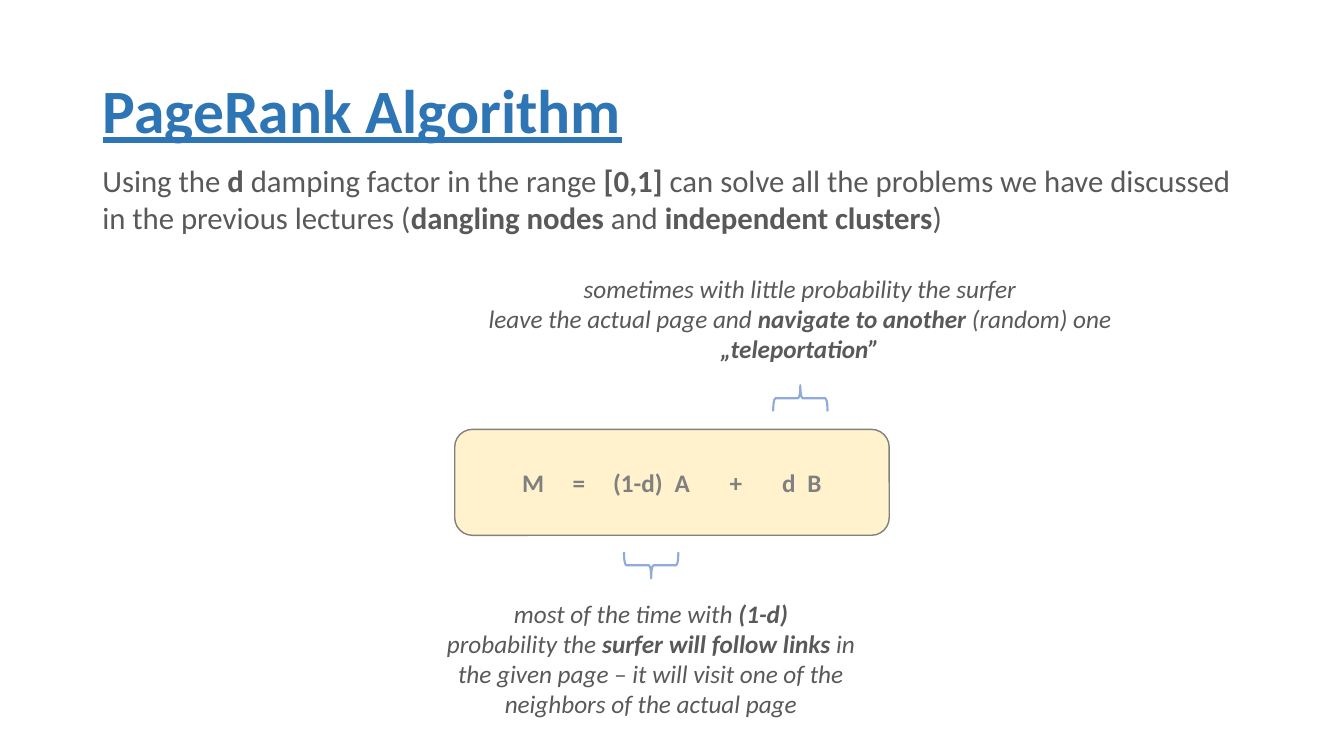
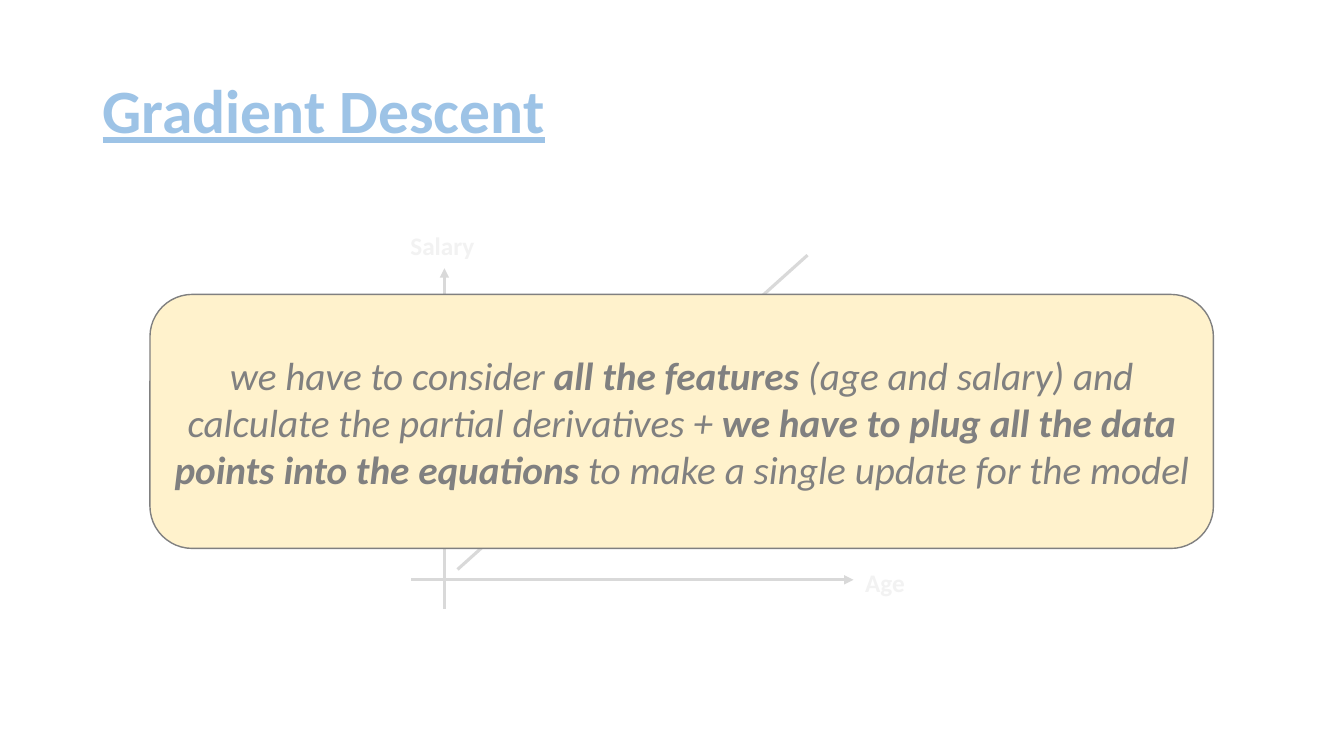
from dataclasses import dataclass

from lxml.etree import SubElement
from pptx import Presentation
from pptx.dml.color import RGBColor
from pptx.enum.shapes import MSO_CONNECTOR, MSO_SHAPE
from pptx.enum.text import MSO_ANCHOR as Anchor, MSO_AUTO_SIZE as AutoSize, PP_ALIGN as Align
from pptx.oxml.ns import qn
from pptx.util import Cm, Pt

FONT = "Calibri"
BLUE, PALE_BLUE, BRACE_BLUE = "2E75B6", "9DC3E6", "8FAADC"
DARK_GREY, GREY, LINE_GREY, LABEL_GREY = "595959", "808080", "D9D9D9", "F2F2F2"
CREAM = "FFF2CC"


@dataclass(frozen=True)
class Area:
    """A rectangle in centimetres."""
    left: float
    top: float
    width: float
    height: float

    def lengths(self):
        return Cm(self.left), Cm(self.top), Cm(self.width), Cm(self.height)


@dataclass(frozen=True)
class Style:
    size: float
    color: str
    bold: bool = False
    italic: bool = False
    align: Align = Align.CENTER


@dataclass(frozen=True)
class Note:
    area: Area
    lines: tuple
    style: Style
    wrap: bool = False


@dataclass(frozen=True)
class Brace:
    area: Area
    rotation: int


@dataclass(frozen=True)
class Line:
    start: tuple
    end: tuple
    arrow: bool = False


TITLE_AREA = Area(2.33, 1.02, 29.21, 3.68)
INTRO = Style(22, DARK_GREY, align=Align.LEFT)
REMARK = Style(18, DARK_GREY, italic=True)
EQUATION = Style(18, GREY, bold=True, align=Align.LEFT)
MESSAGE = Style(28, GREY, italic=True)
AXIS_LABEL = Style(18, LABEL_GREY, bold=True)

PAGERANK_NOTES = (
    Note(Area(2.33, 3.96, 29.21, 2.13), (
        "Using the **d** damping factor in the range **[0,1]** can solve all the problems we have discussed",
        "in the previous lectures (**dangling nodes** and **independent clusters**)",
    ), INTRO),
    Note(Area(10.31, 14.94, 12.19, 3.33), (
        "most of the time with **(1-d)**",
        "probability the **surfer will follow links** in",
        "the given page – it will visit one of the neighbors of the actual page",
    ), REMARK, wrap=True),
    Note(Area(11.89, 6.76, 16.54, 2.57), (
        "sometimes with little probability the surfer",
        "leave the actual page and **navigate to another** (random) one",
        "**„teleportation”**",
    ), REMARK),
)
BRACES = (
    Brace(Area(16.08, 13.56, 0.66, 1.37), 90),
    Brace(Area(19.84, 9.35, 0.66, 1.37), 270),
)
EQUATION_TERMS = ("M", "=", "(1-d)", "A", "+", "d", "B")
EQUATION_STOPS = (1.27, 2.29, 3.84, 5.23, 6.55, 7.19)

AXIS_LABELS = (
    Note(Area(9.65, 5.68, 3, 1.03), ("Salary",), AXIS_LABEL),
    Note(Area(20.8, 14.17, 3, 1.03), ("Age",), AXIS_LABEL),
)
PLOT_LINES = (
    Line((11.2, 15.34), (11.2, 6.76), arrow=True),
    Line((10.36, 14.61), (21.51, 14.61), arrow=True),
    Line((11.53, 14.35), (20.35, 6.43)),
)


def rgb(color: str) -> RGBColor:
    return RGBColor.from_string(color)


def apply_style(para, style: Style) -> None:
    para.alignment = style.align
    font = para.font
    font.name, font.size = FONT, Pt(style.size)
    font.bold, font.italic = style.bold, style.italic
    font.color.rgb = rgb(style.color)


def write_lines(frame, lines: tuple, style: Style) -> None:
    """Fill the frame, one paragraph a line; **marks** enclose bold words."""
    for index, line in enumerate(lines):
        para = frame.paragraphs[0] if index == 0 else frame.add_paragraph()
        apply_style(para, style)
        for part, words in enumerate(line.split("**")):
            if words:
                span = para.add_run()
                span.text = words
                if part % 2:
                    span.font.bold = True


def add_titled_page(deck, title: str, color: str):
    page = deck.slides.add_slide(deck.slide_layouts[5])
    box = page.shapes.title
    box.left, box.top, box.width, box.height = TITLE_AREA.lengths()
    frame = box.text_frame
    frame.vertical_anchor = Anchor.MIDDLE
    frame.text = title
    para = frame.paragraphs[0]
    para.line_spacing = 0.9
    apply_style(para, Style(44, color, bold=True, align=Align.LEFT))
    para.font.underline = True
    return page


def add_note(page, note: Note) -> None:
    frame = page.shapes.add_textbox(*note.area.lengths()).text_frame
    frame.word_wrap = note.wrap
    frame.auto_size = AutoSize.SHAPE_TO_FIT_TEXT
    write_lines(frame, note.lines, note.style)


def add_panel(page, area: Area):
    """Add a rounded cream panel and return its text frame."""
    panel = page.shapes.add_shape(MSO_SHAPE.ROUNDED_RECTANGLE, *area.lengths())
    panel.shadow.inherit = False
    panel.fill.solid()
    panel.fill.fore_color.rgb = rgb(CREAM)
    panel.line.color.rgb = rgb(GREY)
    panel.line.width = Pt(1)
    frame = panel.text_frame
    frame.word_wrap = True
    frame.vertical_anchor = Anchor.MIDDLE
    return frame


def add_equation(page, area: Area) -> None:
    frame = add_panel(page, area)
    frame.margin_left = Cm(1.57)
    properties = frame.paragraphs[0]._p.get_or_add_pPr()
    tabs = SubElement(properties, qn("a:tabLst"))
    for stop in EQUATION_STOPS:
        SubElement(tabs, qn("a:tab"), pos=str(int(Cm(stop))), algn="l")
    write_lines(frame, ("\t".join(EQUATION_TERMS),), EQUATION)


def add_brace(page, brace: Brace) -> None:
    shape = page.shapes.add_shape(MSO_SHAPE.RIGHT_BRACE, *brace.area.lengths())
    shape.shadow.inherit = False
    shape.rotation = brace.rotation
    shape.fill.background()
    shape.line.color.rgb = rgb(BRACE_BLUE)
    shape.line.width = Pt(1.5)


def add_line(page, line: Line) -> None:
    ends = [Cm(value) for value in line.start + line.end]
    connector = page.shapes.add_connector(MSO_CONNECTOR.STRAIGHT, *ends)
    connector.line.color.rgb = rgb(LINE_GREY)
    connector.line.width = Pt(2.25)
    if line.arrow:
        SubElement(connector.line._get_or_add_ln(), qn("a:tailEnd"), type="triangle")
    SubElement(connector._element.spPr, qn("a:effectLst"))


def build_pagerank(deck) -> None:
    page = add_titled_page(deck, "PageRank Algorithm", BLUE)
    add_equation(page, Area(11.46, 10.82, 10.95, 2.67))
    for brace in BRACES:
        add_brace(page, brace)
    for note in PAGERANK_NOTES:
        add_note(page, note)


def build_gradient_descent(deck) -> None:
    page = add_titled_page(deck, "Gradient Descent", PALE_BLUE)
    for line in PLOT_LINES:
        add_line(page, line)
    for label in AXIS_LABELS:
        add_note(page, label)
    message = (
        "we have to consider **all the features** (age and salary) and calculate the partial derivatives + "
        "**we have to plug all the data points into the equations** to make a single update for the model"
    )
    write_lines(add_panel(page, Area(3.78, 7.42, 26.8, 6.4)), (message,), MESSAGE)


def main() -> None:
    deck = Presentation()
    deck.slide_width, deck.slide_height = Cm(33.87), Cm(19.05)
    build_pagerank(deck)
    build_gradient_descent(deck)
    deck.save("out.pptx")


if __name__ == "__main__":
    main()
